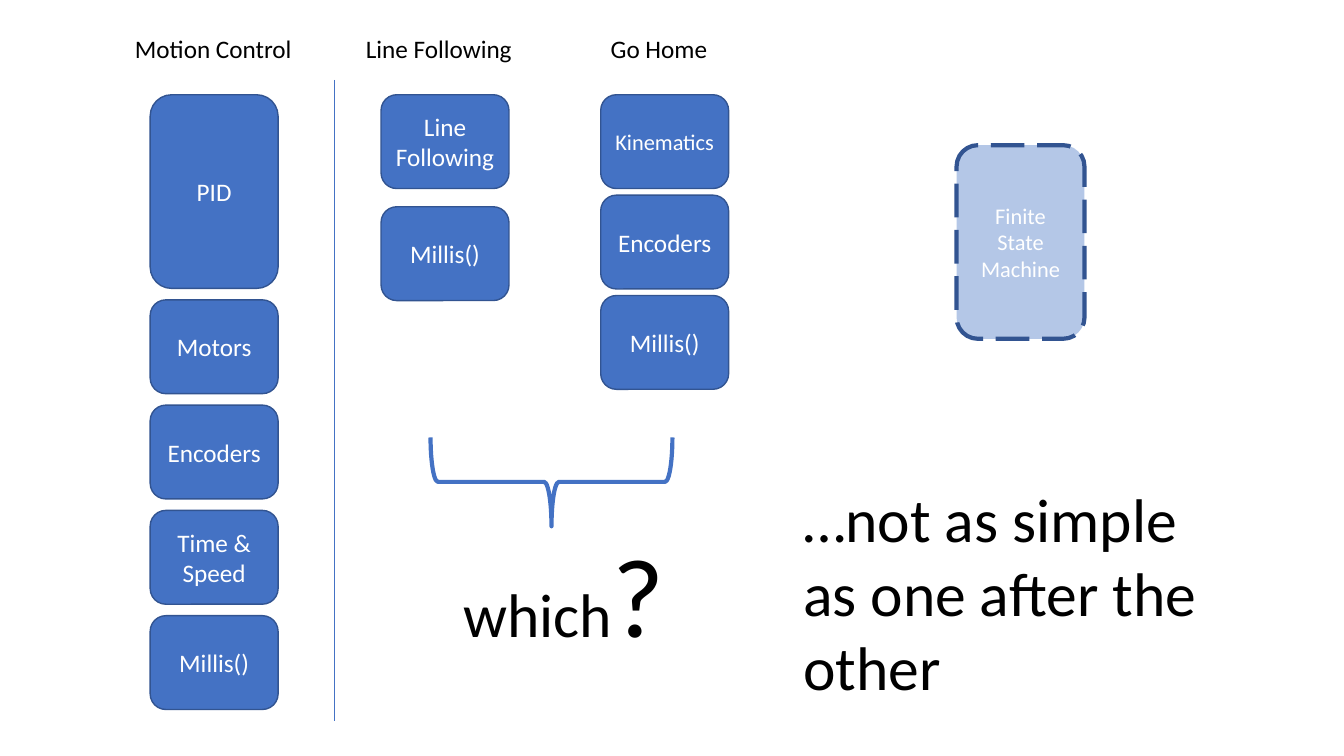
from lxml.etree import SubElement
from pptx import Presentation
from pptx.dml.color import RGBColor
from pptx.enum.dml import MSO_LINE
from pptx.enum.shapes import MSO_CONNECTOR, MSO_SHAPE
from pptx.enum.text import MSO_ANCHOR, MSO_AUTO_SIZE, PP_ALIGN
from pptx.oxml.ns import qn
from pptx.util import Pt

BLUE = RGBColor(0x44, 0x72, 0xC4)
NAVY = RGBColor(0x32, 0x54, 0x91)
PALE = RGBColor(0xB4, 0xC7, 0xE7)
WHITE = RGBColor(0xFF, 0xFF, 0xFF)
BLACK = RGBColor(0, 0, 0)

BOX_W, BOX_H, TALL_H = 91.4, 67, 138.3
COLUMN_TOP, HEADING_TOP = 67.7, 20.2


def add_text(tf, text, size=18, color=BLACK, align=PP_ALIGN.LEFT, font="Calibri"):
    """Append a formatted run to the first paragraph of a text frame."""
    p = tf.paragraphs[0]
    p.alignment = align
    r = p.add_run()
    r.text = text
    r.font.name = font
    r.font.size = Pt(size)
    r.font.color.rgb = color


class Board:
    """Draws in points on the current slide."""

    def __init__(self, slide):
        self.s = slide

    def shape(self, kind, x, y, w, h, fill=None, line=BLUE, weight=1):
        sp = self.s.shapes.add_shape(kind, Pt(x), Pt(y), Pt(w), Pt(h))
        sp.shadow.inherit = False
        if fill is None:
            sp.fill.background()
        else:
            sp.fill.solid()
            sp.fill.fore_color.rgb = fill
        sp.line.color.rgb = line
        sp.line.width = Pt(weight)
        return sp

    def box(self, text, x, y, h=BOX_H, size=18, fill=BLUE, weight=1):
        sp = self.shape(MSO_SHAPE.ROUNDED_RECTANGLE, x, y, BOX_W, h, fill, NAVY, weight)
        tf = sp.text_frame
        tf.word_wrap = True
        tf.vertical_anchor = MSO_ANCHOR.MIDDLE
        add_text(tf, text, size=size, color=WHITE, align=PP_ALIGN.CENTER)
        return sp

    def label(self, runs, x, y, w, h, wrap=False):
        tf = self.s.shapes.add_textbox(Pt(x), Pt(y), Pt(w), Pt(h)).text_frame
        tf.word_wrap = wrap
        tf.auto_size = MSO_AUTO_SIZE.SHAPE_TO_FIT_TEXT
        for text, size in runs:
            add_text(tf, text, size=size)

    def line(self, x1, y1, x2, y2, color=BLUE, weight=0.5):
        c = self.s.shapes.add_connector(
            MSO_CONNECTOR.STRAIGHT, Pt(x1), Pt(y1), Pt(x2), Pt(y2))
        c.line.color.rgb = color
        c.line.width = Pt(weight)
        SubElement(c.element.spPr, qn("a:effectLst"))


# Heading, heading left, heading width, column left, gap, boxes (text, height, size)
COLUMNS = [
    ("Motion Control", 89.3, 128.2, 107.3, 8.2, [
        ("PID", TALL_H, 18), ("Motors", BOX_H, 18), ("Encoders", BOX_H, 18),
        ("Time & Speed", BOX_H, 18), ("Millis()", BOX_H, 18)]),
    ("Line Following", 254.2, 120.2, 272.2, 13, [
        ("Line Following", BOX_H, 18), ("Millis()", BOX_H, 18)]),
    ("Go Home", 429.1, 84.2, 429.1, 4.7, [
        ("Kinematics", BOX_H, 16), ("Encoders", BOX_H, 18), ("Millis()", BOX_H, 18)]),
]


def main():
    prs = Presentation()
    prs.slide_width, prs.slide_height = Pt(960), Pt(540)
    board = Board(prs.slides.add_slide(prs.slide_layouts[6]))

    # Columns of building blocks
    for heading, heading_x, heading_w, x, gap, boxes in COLUMNS:
        board.label([(heading, 18)], heading_x, HEADING_TOP, heading_w, 29.1)
        y = COLUMN_TOP
        for text, h, size in boxes:
            board.box(text, x, y, h, size)
            y += h + gap

    # Divider after the first column
    board.line(238.5, 57, 238.5, 515)

    # Brace and question under the two behaviours
    brace = board.shape(MSO_SHAPE.RIGHT_BRACE, 362.2, 257.8, 63.4, 172.8, weight=3)
    brace.rotation = 90
    board.label([("which", 44), ("?", 80)], 324, 371.5, 159.8, 104.4)

    # State machine and closing remark
    machine = board.box("Finite State Machine", 683.3, 103.7, TALL_H, 16, PALE, 3)
    machine.line.dash_style = MSO_LINE.LONG_DASH
    board.label([("…not as simple as one after the other", 44)],
                566.6, 339.8, 324.7, 167, wrap=True)

    prs.save("out.pptx")


if __name__ == "__main__":
    main()
